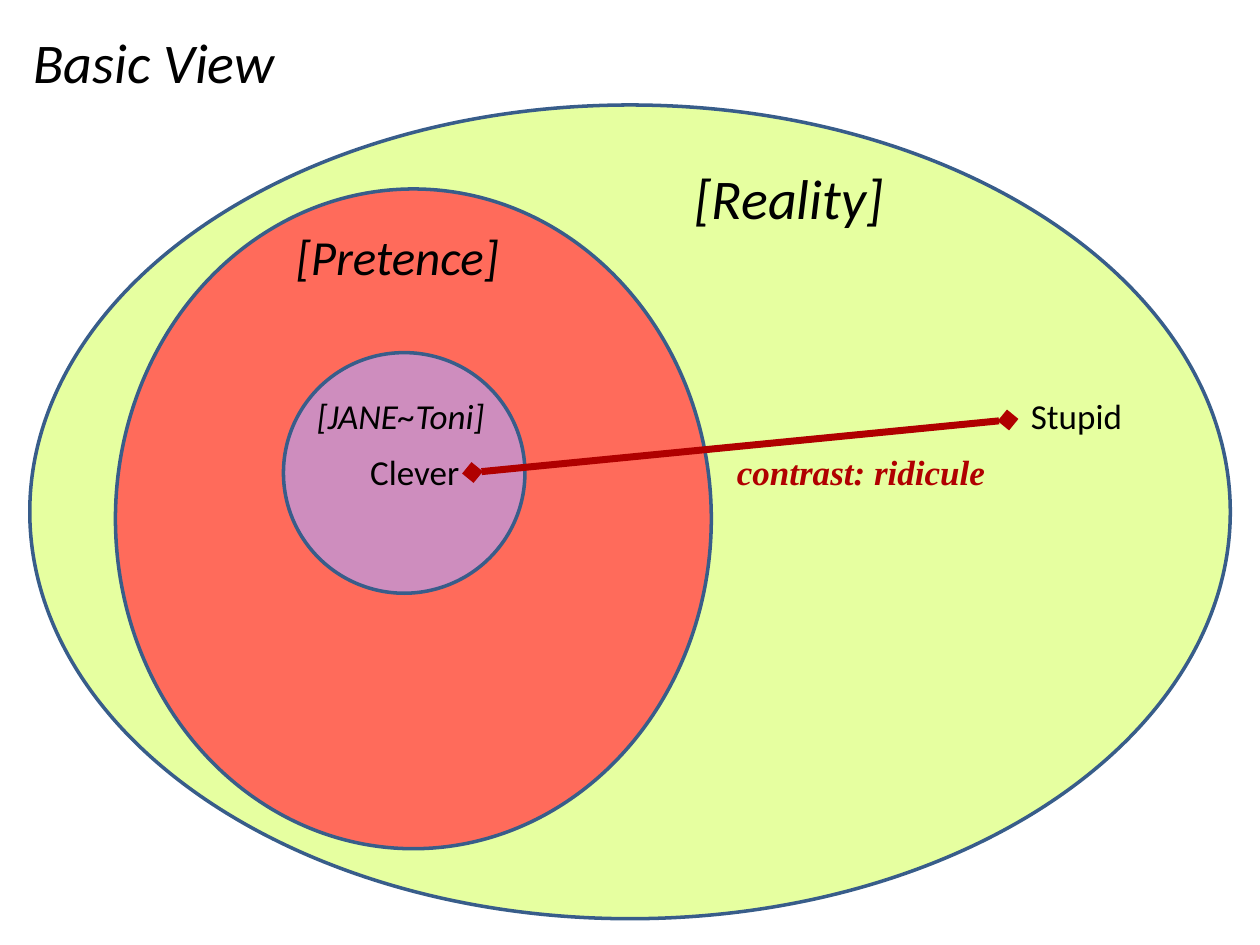
"""Build the Basic View slide: nested mental spaces with a contrast link."""
from lxml.etree import SubElement
from pptx import Presentation
from pptx.dml.color import RGBColor
from pptx.enum.shapes import MSO_CONNECTOR, MSO_SHAPE
from pptx.enum.text import MSO_ANCHOR, MSO_AUTO_SIZE, PP_ALIGN
from pptx.oxml.ns import qn
from pptx.util import Pt

COLORS = {"reality": "DDFF7D", "pretence": "FF6B5B", "blend": "C991C9",
          "outline": "385D8A", "contrast": "B00000", "text": "000000"}


def color(name):
    return RGBColor.from_string(COLORS[name])


def write(shape, text, size, italic=True, bold=False, font_name="Calibri",
          color_name="text", align=PP_ALIGN.LEFT):
    frame = shape.text_frame
    frame.word_wrap = True
    frame.auto_size = MSO_AUTO_SIZE.NONE
    frame.vertical_anchor = MSO_ANCHOR.TOP
    frame.text = text
    paragraph = frame.paragraphs[0]
    paragraph.alignment = align
    font = paragraph.font
    font.name, font.size = font_name, Pt(size)
    font.italic, font.bold = italic, bold
    font.color.rgb = color(color_name)


presentation = Presentation()
presentation.slide_width, presentation.slide_height = Pt(720), Pt(540)
slide = presentation.slides.add_slide(presentation.slide_layouts[5])

title = slide.shapes.title
title.left, title.top, title.width, title.height = Pt(12), Pt(12), Pt(678), Pt(46)
write(title, "Basic View", 32)

spaces = [
    ("reality", 17, 60, 686, 465, 73),
    ("pretence", 66, 108, 340.5, 377, 100),
    ("blend", 162, 201.5, 138, 137.5, 90),
]
for name, left, top, width, height, opacity in spaces:
    ellipse = slide.shapes.add_shape(
        MSO_SHAPE.OVAL, Pt(left), Pt(top), Pt(width), Pt(height))
    ellipse.shadow.inherit = False
    ellipse.fill.solid()
    ellipse.fill.fore_color.rgb = color(name)
    if opacity < 100:
        fill_color = ellipse.fill._xPr.find(qn("a:solidFill"))[0]
        SubElement(fill_color, qn("a:alpha"), val=str(opacity * 1000))
    ellipse.line.color.rgb = color("outline")
    ellipse.line.width = Pt(2)

link = slide.shapes.add_connector(
    MSO_CONNECTOR.STRAIGHT, Pt(270), Pt(270), Pt(576), Pt(240))
link.line.color.rgb = color("contrast")
link.line.width = Pt(4)
for end in ("a:headEnd", "a:tailEnd"):
    SubElement(link.line._ln, qn(end), type="diamond")
SubElement(link._element.spPr, qn("a:effectLst"))

labels = [
    ("[Reality]", 390, 90, 199, 46, 32, {}),
    ("[Pretence]", 162, 126, 150, 41, 28, {}),
    ("[JANE~Toni]", 174, 222, 114, 32, 20, {}),
    ("Stupid", 582, 222, 120, 32, 20, {"italic": False}),
    ("Clever", 156, 254, 162, 32, 20,
     {"italic": False, "align": PP_ALIGN.CENTER}),
    ("contrast: ridicule", 414, 254, 174, 32, 20,
     {"bold": True, "font_name": "Times New Roman", "color_name": "contrast"}),
]
for text, left, top, width, height, size, style in labels:
    label = slide.shapes.add_textbox(Pt(left), Pt(top), Pt(width), Pt(height))
    write(label, text, size, **style)

presentation.save("out.pptx")
